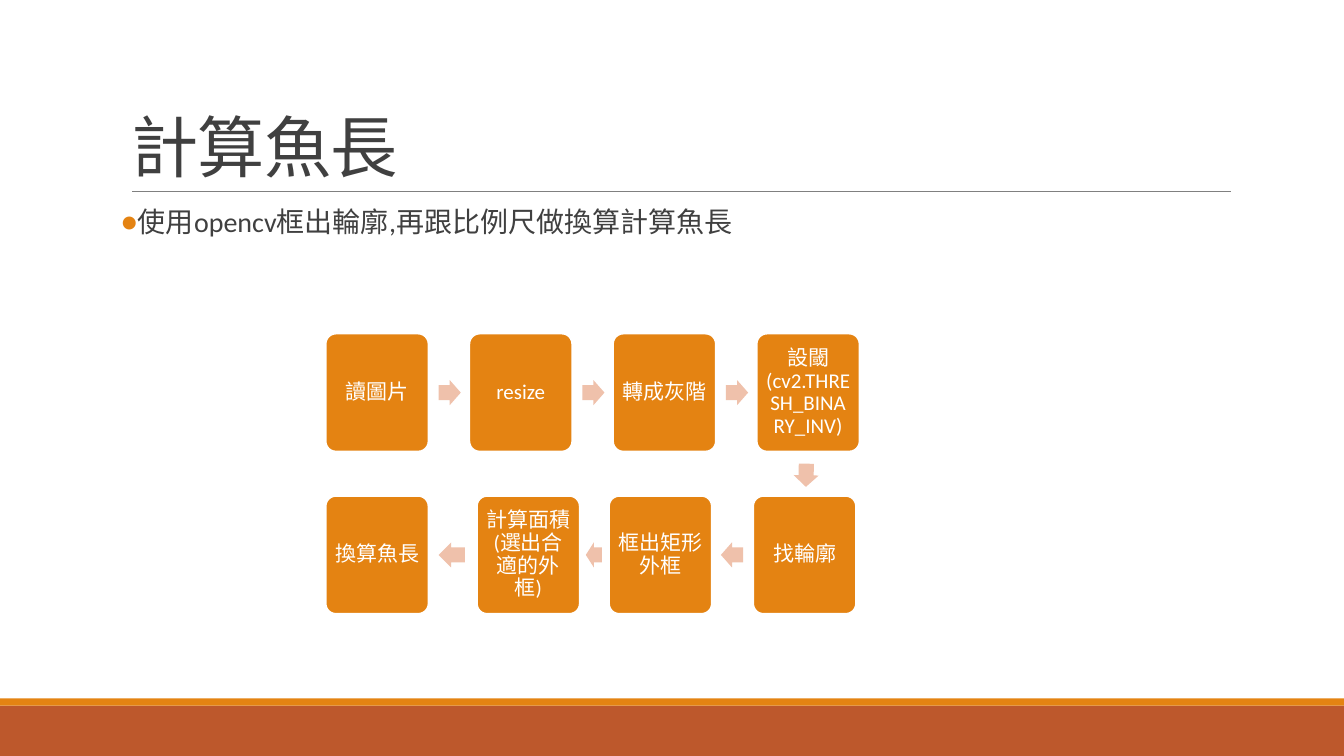
from dataclasses import dataclass
from lxml.etree import SubElement
from pptx import Presentation
from pptx.dml.color import RGBColor as RGB
from pptx.enum.shapes import MSO_CONNECTOR as LINE, MSO_SHAPE as SHAPE
from pptx.enum.text import MSO_ANCHOR as ANCHOR, MSO_AUTO_SIZE as AUTO, PP_ALIGN as ALIGN
from pptx.oxml.ns import qn
from pptx.util import Inches, Pt


@dataclass(frozen=True)
class Theme:
    font: str = "Calibri"
    ink: str = "404040"
    white: str = "FFFFFF"
    orange: str = "E48312"
    rust: str = "BD582C"
    peach: str = "EFC1AB"
    rule: str = "808080"
    title: int = 48
    body: int = 20
    step: int = 15


THEME = Theme()
BOX_W, BOX_H = 1.02, 1.17
ARROW_H = 0.25

# Steps run right along the top row, then back left along the bottom row
TOP_Y, LOW_Y = 3.31, 4.92
TOP_X, PITCH = 3.23, 1.425
TOP = ["讀圖片", "resize", "轉成灰階", "設閾(cv2.THRESH_BINARY_INV)"]
LOW = [(7.47, "找輪廓"), (6.04, "框出矩形外框"),
       (4.73, "計算面積(選出合適的外框)"), (3.23, "換算魚長")]
BACK = [(7.15, 0.22), (5.81, 0.16), (4.35, 0.26)]


def style(para, size, color, space):
    para.line_spacing = space
    font = para.font
    font.name, font.size = THEME.font, Pt(size)
    font.color.rgb = RGB.from_string(color)


def place(shape, x, y, w, h):
    shape.left, shape.top = Inches(x), Inches(y)
    shape.width, shape.height = Inches(w), Inches(h)


def pad(frame, side, edge):
    frame.margin_left = frame.margin_right = Inches(side)
    frame.margin_top = frame.margin_bottom = Inches(edge)


def add_form(slide, kind, x, y, w, h, fill):
    form = slide.shapes.add_shape(kind, Inches(x), Inches(y), Inches(w), Inches(h))
    form.shadow.inherit = False
    form.fill.solid()
    form.fill.fore_color.rgb = RGB.from_string(fill)
    form.line.fill.background()
    return form


def add_rule(slide, x, y, end):
    rule = slide.shapes.add_connector(
        LINE.STRAIGHT, Inches(x), Inches(y), Inches(end), Inches(y))
    rule.line.color.rgb = RGB.from_string(THEME.rule)
    rule.line.width = Pt(0.5)
    SubElement(rule._element.spPr, qn("a:effectLst"))


def add_step(slide, x, y, text):
    box = add_form(slide, SHAPE.ROUNDED_RECTANGLE, x, y, BOX_W, BOX_H, THEME.orange)
    box.adjustments[0] = 0.1
    box.line.color.rgb = RGB.from_string(THEME.white)
    box.line.width = Pt(1.25)
    frame = box.text_frame
    frame.word_wrap, frame.vertical_anchor = True, ANCHOR.MIDDLE
    pad(frame, 0.06, 0.06)
    frame.text = text
    para = frame.paragraphs[0]
    para.alignment = ALIGN.CENTER
    style(para, THEME.step, THEME.white, 0.9)


def add_arrow(slide, x, y, w, turn=0):
    arrow = add_form(slide, SHAPE.RIGHT_ARROW, x, y, w, ARROW_H, THEME.peach)
    arrow.adjustments[0], arrow.adjustments[1] = 0.6, 0.5
    arrow.rotation = turn


def set_title(slide, text):
    title = slide.shapes.title
    place(title, 1.2, 0.31, 11, 1.59)
    frame = title.text_frame
    frame.text, frame.auto_size = text, AUTO.NONE
    frame.word_wrap, frame.vertical_anchor = True, ANCHOR.BOTTOM
    para = frame.paragraphs[0]
    para.alignment = ALIGN.LEFT
    style(para, THEME.title, THEME.ink, 0.85)
    para._p.pPr.find(qn("a:defRPr")).set("spc", "-50")


def set_body(slide, text):
    body = slide.placeholders[1]
    place(body, 1.2, 2.02, 11, 4.4)
    frame = body.text_frame
    frame.text, frame.auto_size = text, AUTO.NONE
    frame.word_wrap, frame.vertical_anchor = True, ANCHOR.TOP
    pad(frame, 0, 0.05)
    para = frame.paragraphs[0]
    para.space_before, para.space_after = Pt(12), Pt(2)
    # Bullet with a hanging indent
    props = para._p.get_or_add_pPr()
    props.set("marL", str(Inches(0.1)))
    props.set("indent", str(Inches(-0.1)))
    tint = SubElement(props, qn("a:buClr"))
    SubElement(tint, qn("a:srgbClr")).set("val", THEME.orange)
    SubElement(props, qn("a:buFont")).set("typeface", THEME.font)
    SubElement(props, qn("a:buChar")).set("char", "●")
    style(para, THEME.body, THEME.ink, 0.9)


def add_flow(slide):
    mid = (BOX_H - ARROW_H) / 2
    # Top row
    for i, text in enumerate(TOP):
        x = TOP_X + i * PITCH
        add_step(slide, x, TOP_Y, text)
        if i < len(TOP) - 1:
            add_arrow(slide, x + 1.12, TOP_Y + mid, 0.22)
    # Turn down to the bottom row
    add_arrow(slide, 7.88, 4.59, 0.23, 91.2)
    for x, text in LOW:
        add_step(slide, x, LOW_Y, text)
    for x, w in BACK:
        add_arrow(slide, x, LOW_Y + mid, w, 180)


def main():
    deck = Presentation()
    deck.slide_width, deck.slide_height = Inches(13.33), Inches(7.5)
    slide = deck.slides.add_slide(deck.slide_layouts[1])
    # Footer bands and title rule
    add_form(slide, SHAPE.RECTANGLE, 0, 7, 13.33, 0.5, THEME.rust)
    add_form(slide, SHAPE.RECTANGLE, 0, 6.93, 13.33, 0.07, THEME.orange)
    add_rule(slide, 1.31, 1.9, 12.21)
    # Content
    set_title(slide, "計算魚長")
    set_body(slide, "使用opencv框出輪廓,再跟比例尺做換算計算魚長")
    add_flow(slide)
    deck.save("out.pptx")


if __name__ == "__main__":
    main()
